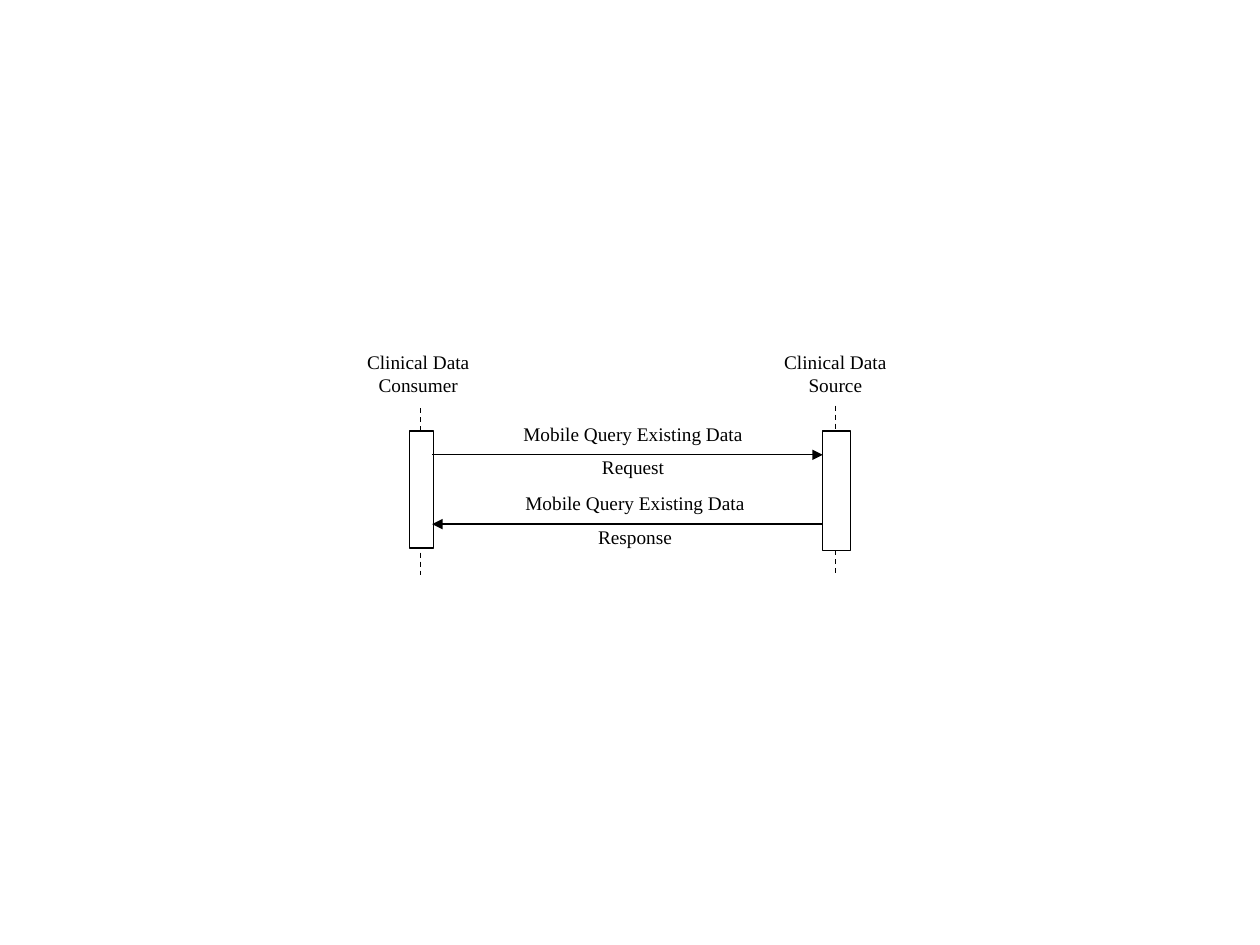
import pptx
import pptx.util
import pptx.dml.color
import pptx.enum.dml
import pptx.enum.shapes
import pptx.enum.text
import pptx.oxml.ns
import lxml.etree

Inches = pptx.util.Inches
Pt = pptx.util.Pt
BLACK = pptx.dml.color.RGBColor(0, 0, 0)
WHITE = pptx.dml.color.RGBColor(255, 255, 255)
DASH = pptx.enum.dml.MSO_LINE.DASH


class Chart:
    """Draws the parts of a sequence diagram in one style."""

    font = {"name": "Times New Roman", "size": Pt(11)}
    para = {"alignment": pptx.enum.text.PP_ALIGN.CENTER, "space_before": Pt(6)}

    def __init__(self, slide):
        self.shapes = slide.shapes

    def put(self, item, style):
        for name, value in style.items():
            setattr(item, name, value)

    def stroke(self, line):
        line.color.rgb = BLACK
        line.width = Pt(0.75)

    def line(self, start, end, dash=None, arrow=False):
        kind = pptx.enum.shapes.MSO_CONNECTOR.STRAIGHT
        link = self.shapes.add_connector(kind, *map(Inches, start + end))
        self.stroke(link.line)
        if dash:
            link.line.dash_style = dash
        qn = pptx.oxml.ns.qn
        props = link._element.spPr
        if arrow:
            tip = lxml.etree.SubElement(props.find(qn("a:ln")), qn("a:tailEnd"))
            tip.set("type", "triangle")
        lxml.etree.SubElement(props, qn("a:effectLst"))

    def bar(self, *box):
        kind = pptx.enum.shapes.MSO_SHAPE.RECTANGLE
        rect = self.shapes.add_shape(kind, *map(Inches, box))
        rect.shadow.inherit = False
        rect.fill.solid()
        rect.fill.fore_color.rgb = WHITE
        self.stroke(rect.line)

    def text(self, box, lines, inset=None):
        frame = self.shapes.add_textbox(*map(Inches, box)).text_frame
        frame.word_wrap = True
        if inset is not None:
            sides = ("left", "top", "right", "bottom")
            self.put(frame, {f"margin_{side}": Inches(inset) for side in sides})
        frame.text = "\n".join(lines)
        for para in frame.paragraphs:
            self.put(para, self.para)
            for run in para.runs:
                self.put(run.font, self.font)
                run.font.color.rgb = BLACK


deck = pptx.Presentation()
deck.slide_width, deck.slide_height = Inches(10), Inches(7.5)
chart = Chart(deck.slides.add_slide(deck.slide_layouts[6]))

actors = [
    ("Consumer", (2.73, 2.73, 1.18, 0.58), 3.34, 3.24, (3.25, 3.42, 0.19, 0.93)),
    ("Source", (6.03, 2.73, 1.2, 0.58), 6.63, 3.22, (6.53, 3.42, 0.22, 0.95)),
]
for name, label, x, top, bar in actors:
    chart.line((x, top), (x, 4.56), dash=DASH)
    chart.bar(*bar)
    chart.text(label, [f"Clinical Data {name}"])

calls = [
    ("Request", (3.96, 3.35, 2.13, 0.52), 3.43, 6.53, 3.61),
    ("Response", (4.1, 3.9, 1.88, 0.6), 6.53, 3.43, 4.16),
]
for name, label, start, end, y in calls:
    chart.line((start, y), (end, y), arrow=True)
    chart.text(label, ["Mobile Query Existing Data", name], inset=0)

deck.save("out.pptx")
